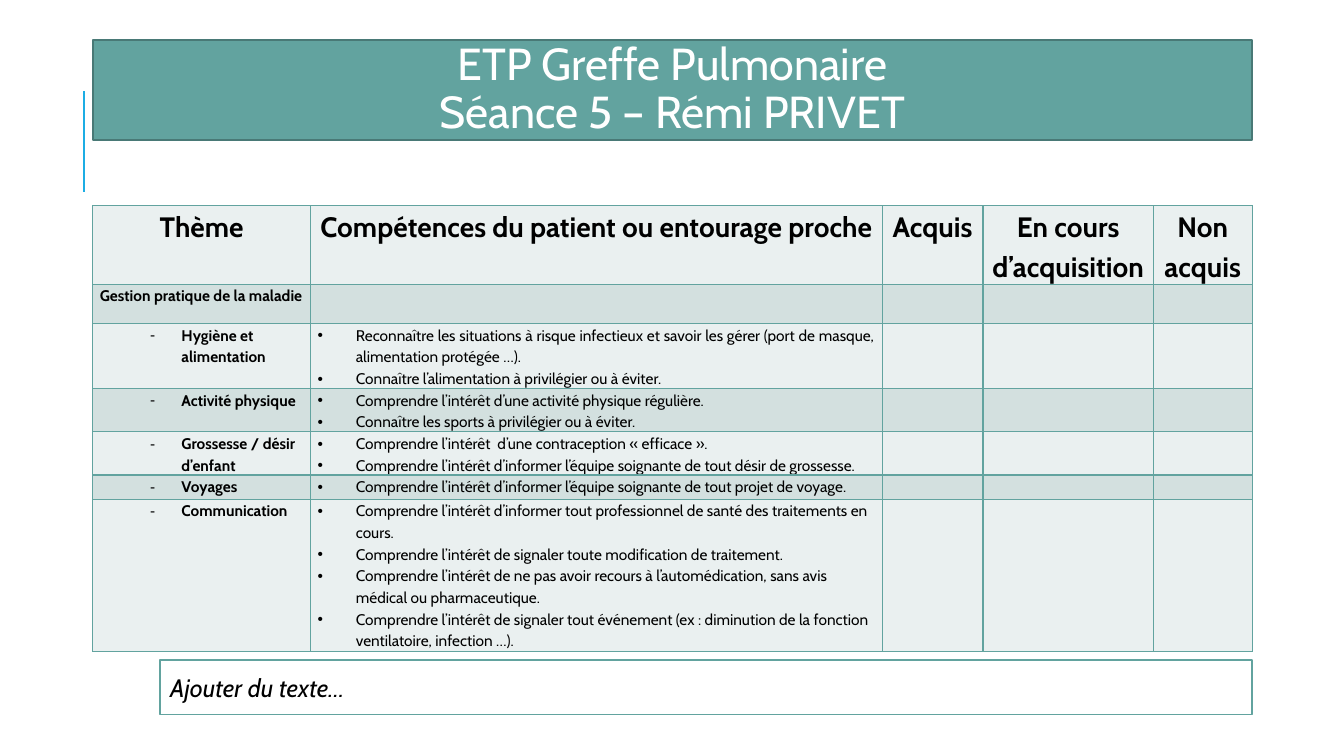
from lxml import etree
from pptx import Presentation
from pptx import util as u
from pptx.dml.color import RGBColor
from pptx.enum import shapes, text
from pptx.oxml import ns

TEAL, PALE, SOFT = "62A39F", "EAF0F0", "D3E0DF"
LEFT, WIDE = 0.92, 11.5
COLS = [2.16, 5.67, 1, 1.69, 0.98]
ROWS = [0.77, 0.39, 0.64, 0.43, 0.43, 0.24, 1.51]
HEADS = ["Thème", "Compétences du patient ou entourage proche", "Acquis",
         "En cours d’acquisition", "Non acquis"]
THEMES = [
    ("Hygiène et alimentation", [
        "Reconnaître les situations à risque infectieux et savoir les gérer "
        "(port de masque, alimentation protégée …).",
        "Connaître l’alimentation à privilégier ou à éviter."]),
    ("Activité physique", [
        "Comprendre l’intérêt d’une activité physique régulière.",
        "Connaître les sports à privilégier ou à éviter."]),
    ("Grossesse / désir d’enfant", [
        "Comprendre l’intérêt  d’une contraception « efficace ».",
        "Comprendre l’intérêt d’informer l’équipe soignante de tout désir de grossesse."]),
    ("Voyages", [
        "Comprendre l’intérêt d’informer l’équipe soignante de tout projet de voyage."]),
    ("Communication", [
        "Comprendre l’intérêt d’informer tout professionnel de santé des "
        "traitements en cours.",
        "Comprendre l’intérêt de signaler toute modification de traitement.",
        "Comprendre l’intérêt de ne pas avoir recours à l’automédication, "
        "sans avis médical ou pharmaceutique.",
        "Comprendre l’intérêt de signaler tout événement (ex : diminution de "
        "la fonction ventilatoire, infection …)."]),
]


def color(code):
    return RGBColor.from_string(code)


def add(node, tag, **attrs):
    return etree.SubElement(node, ns.qn(tag), **attrs)


def write(frame, lines, size=11, ink="000000", bold=False, italic=False,
          align=text.PP_ALIGN.LEFT, space=1.15, mark=None, indent=(0, 0), level=0):
    """Fill a text frame, one paragraph for each line."""
    frame.word_wrap = True
    for i, line in enumerate(lines):
        para = frame.add_paragraph() if i else frame.paragraphs[0]
        para.text, para.alignment = line, align
        para.line_spacing, para.level = space, level
        for run in para.runs:
            font = run.font
            font.name, font.size = "Cabin", u.Pt(size)
            font.bold, font.italic = bold, italic
            font.color.rgb = color(ink)
        if not line:
            add(para._p, "a:endParaRPr", sz=str(size * 100))
        if mark:
            props = para._p.get_or_add_pPr()
            for key, value in zip(("marL", "indent"), indent):
                props.set(key, str(u.Inches(value)))
            add(props, "a:buFont", typeface="Arial")
            add(props, "a:buChar", char=mark)


def place(shape, box):
    shape.left, shape.top, shape.width, shape.height = map(u.Inches, box)


def paint(shape, fill, line):
    shape.fill.solid()
    shape.fill.fore_color.rgb = color(fill)
    shape.line.color.rgb = color(line)
    shape.line.width = u.Pt(1.25)


def accent(slide, x, top, high):
    line = slide.shapes.add_connector(
        shapes.MSO_CONNECTOR.STRAIGHT,
        u.Inches(x), u.Inches(top + high), u.Inches(x), u.Inches(top))
    line.line.color.rgb = color("1CADE4")
    line.line.width = u.Pt(1.5)
    add(line._element.spPr, "a:effectLst")


def banner(slide, box):
    title = slide.shapes.title
    place(title, box)
    paint(title, TEAL, "497976")
    frame = title.text_frame
    frame.auto_size = text.MSO_AUTO_SIZE.NONE
    frame.vertical_anchor = text.MSO_ANCHOR.MIDDLE
    write(frame, ["ETP Greffe Pulmonaire\vSéance 5 – Rémi PRIVET"], size=32,
          ink="FFFFFF", align=text.PP_ALIGN.CENTER, space=0.9)


def style(cell, fill):
    """Set the margins, borders and fill of a cell."""
    cell.margin_left = cell.margin_right = u.Inches(0.07)
    cell.margin_top = cell.margin_bottom = 0
    props = cell._tc.get_or_add_tcPr()
    for side in "LRTB":
        edge = add(props, f"a:ln{side}", w=str(u.Pt(1)))
        add(add(edge, "a:solidFill"), "a:srgbClr", val=TEAL)
    cell.fill.solid()
    cell.fill.fore_color.rgb = color(fill)


def grid(slide, left, top):
    box = map(u.Inches, (left, top, sum(COLS), sum(ROWS)))
    table = slide.shapes.add_table(len(ROWS), len(COLS), *box).table
    table.first_row = table.horz_banding = False
    for col, width in zip(table.columns, COLS):
        col.width = u.Inches(width)
    for i, (row, high) in enumerate(zip(table.rows, ROWS)):
        row.height = u.Inches(high)
        for cell in row.cells:
            style(cell, SOFT if i % 2 else PALE)

    for j, head in enumerate(HEADS):
        write(table.cell(0, j).text_frame, [head], size=20, bold=True,
              align=text.PP_ALIGN.CENTER)
    write(table.cell(1, 0).text_frame, ["Gestion pratique de la maladie"], bold=True)
    for i, (theme, skills) in enumerate(THEMES, 2):
        last = i == len(ROWS) - 1
        write(table.cell(i, 0).text_frame, [theme], bold=True, mark="-",
              indent=(0.81, -0.31), level=1)
        write(table.cell(i, 1).text_frame, skills, mark="•", indent=(0.38, -0.38),
              align=text.PP_ALIGN.LEFT if last else text.PP_ALIGN.JUSTIFY)
    for row in list(table.rows)[1:]:
        for cell in row.cells:
            if not cell.text_frame.text:
                write(cell.text_frame, [""])


def note(slide, box):
    shape = slide.shapes.add_shape(shapes.MSO_SHAPE.RECTANGLE, *map(u.Inches, box))
    shape.shadow.inherit = False
    paint(shape, "FFFFFF", TEAL)
    shape.text_frame.vertical_anchor = text.MSO_ANCHOR.MIDDLE
    write(shape.text_frame, ["Ajouter du texte…"], size=18, italic=True, space=1)


def main():
    deck = Presentation()
    deck.slide_width, deck.slide_height = u.Inches(13.33), u.Inches(7.5)
    slide = deck.slides.add_slide(deck.slide_layouts[5])
    accent(slide, 0.83, 0.9, 1)
    banner(slide, (LEFT, 0.4, WIDE, 0.99))
    grid(slide, LEFT, 2.04)
    note(slide, (1.59, 6.55, LEFT + WIDE - 1.59, 0.54))
    deck.save("out.pptx")


if __name__ == "__main__":
    main()
